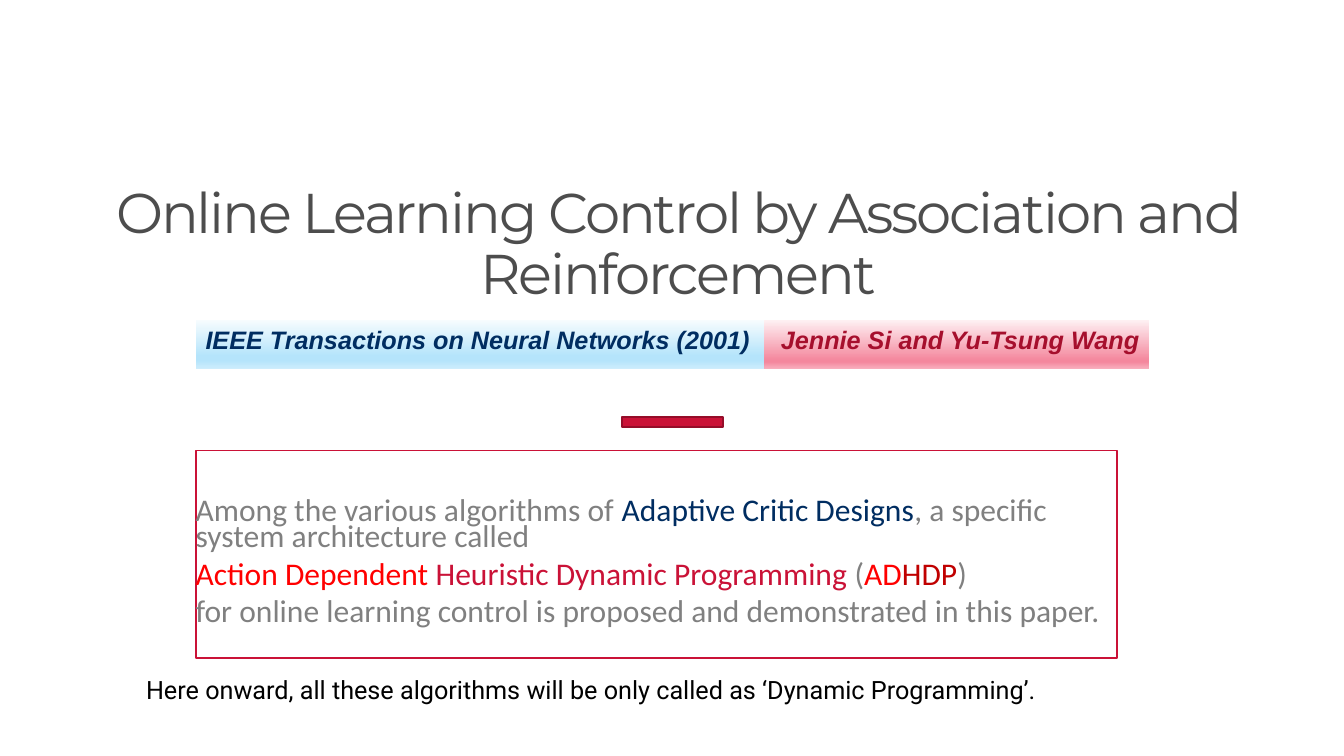
from lxml import etree
from pptx import Presentation
from pptx.dml.color import RGBColor
from pptx.enum.shapes import MSO_SHAPE
from pptx.enum.text import MSO_ANCHOR, MSO_AUTO_SIZE, PP_ALIGN
from pptx.oxml.ns import qn
from pptx.util import Inches, Pt

RECT = MSO_SHAPE.RECTANGLE
TOP, BOTTOM = MSO_ANCHOR.TOP, MSO_ANCHOR.BOTTOM
LEFT, CENTER, RIGHT = PP_ALIGN.LEFT, PP_ALIGN.CENTER, PP_ALIGN.RIGHT
NO_FIT = MSO_AUTO_SIZE.NONE

WHITE = RGBColor(0xFF, 0xFF, 0xFF)
BLACK = RGBColor(0x00, 0x00, 0x00)
DARK = RGBColor(0x4D, 0x4D, 0x4D)
GRAY = RGBColor(0x80, 0x80, 0x80)
NAVY = RGBColor(0x00, 0x2D, 0x61)
CRIMSON = RGBColor(0xCA, 0x12, 0x37)
MAROON = RGBColor(0x95, 0x0D, 0x29)
WINE = RGBColor(0xA6, 0x0F, 0x2D)
RED = RGBColor(0xFF, 0x00, 0x00)
BRICK = RGBColor(0xC0, 0x00, 0x00)

# Gradient stops: percent and colour, top to bottom
PINKS = [(0, RGBColor(0xFE, 0xF2, 0xF4)), (83, RGBColor(0xF4, 0x87, 0x9D)),
         (86, RGBColor(0xF4, 0x87, 0x9D)), (100, RGBColor(0xF8, 0xAF, 0xBE))]
BLUES = [(0, RGBColor(0xF7, 0xFC, 0xFE)), (74, RGBColor(0xB5, 0xE4, 0xFB)),
         (83, RGBColor(0xB5, 0xE4, 0xFB)), (100, RGBColor(0xCE, 0xED, 0xFC))]

# Summary paragraphs as coloured pieces
SUMMARY = [
    [("Among the various algorithms of ", GRAY),
     ("Adaptive Critic Designs", NAVY),
     (", a specific system architecture called", GRAY)],
    [("Action Dependent ", RED), ("Heuristic Dynamic Programming ", CRIMSON),
     ("(", GRAY), ("AD", RED), ("HDP", BRICK), (")", GRAY)],
    [("for online learning control is proposed and demonstrated "
      "in this paper.", GRAY)],
]


def style(run, face, size, color):
    font = run.font
    font.name, font.size, font.color.rgb = face, Pt(size), color


def clear_insets(frame):
    frame.margin_left = frame.margin_right = 0
    frame.margin_top = frame.margin_bottom = 0


def add_rect(slide, left, top, width, height, fill=None, line=None):
    shape = slide.shapes.add_shape(RECT, Inches(left), Inches(top),
                                   Inches(width), Inches(height))
    shape.shadow.inherit = False
    if fill is not None:
        shape.fill.solid()
        shape.fill.fore_color.rgb = fill
    if line is None:
        shape.line.fill.background()
    else:
        shape.line.color.rgb = line
        shape.line.width = Pt(1.35)
    return shape


def shade(shape, stops):
    shape.fill.gradient()
    shape.fill.gradient_angle = 270
    ramp = shape._element.spPr.find(".//" + qn("a:gsLst"))
    for old in list(ramp):
        ramp.remove(old)
    for percent, color in stops:
        stop = etree.SubElement(ramp, qn("a:gs"), pos=str(percent * 1000))
        etree.SubElement(stop, qn("a:srgbClr"), val=str(color))


def add_label(slide, left, width, text, color, stops, align):
    label = add_rect(slide, left, 3.17, width, 0.49)
    shade(label, stops)
    frame = label.text_frame
    frame.word_wrap = True
    frame.vertical_anchor = TOP
    frame.text = text
    para = frame.paragraphs[0]
    para.alignment = align
    run = para.runs[0]
    style(run, "Arial", 18, color)
    run.font.bold = run.font.italic = True


def set_title(slide):
    title = slide.shapes.title
    title.left, title.top = Inches(0.65), Inches(1.8)
    title.width, title.height = Inches(12.15), Inches(1.24)
    frame = title.text_frame
    frame.text = "Online Learning Control by Association and Reinforcement"
    frame.word_wrap = True
    frame.auto_size = NO_FIT
    frame.vertical_anchor = BOTTOM
    clear_insets(frame)
    para = frame.paragraphs[0]
    para.alignment = CENTER
    para.line_spacing = 0.9
    run = para.runs[0]
    style(run, "Montserrat", 40, DARK)
    run.font._element.set("spc", "-150")


def add_summary(slide):
    box = add_rect(slide, 1.94, 4.47, 9.14, 2.06, WHITE, CRIMSON)
    frame = box.text_frame
    frame.word_wrap = True
    frame.vertical_anchor = TOP
    clear_insets(frame)
    frame.margin_top = Inches(0.49)
    for index, pieces in enumerate(SUMMARY):
        para = frame.add_paragraph() if index else frame.paragraphs[0]
        para.alignment = LEFT
        para.line_spacing = 0.7
        para.space_before = Pt(8 if index else 0)
        for text, color in pieces:
            run = para.add_run()
            run.text = text
            style(run, "Calibri", 22.5, color)


def add_note(slide):
    box = slide.shapes.add_textbox(Inches(1.35), Inches(6.64),
                                   Inches(10.75), Inches(0.4))
    frame = box.text_frame
    frame.word_wrap = True
    frame.text = ("Here onward, all these algorithms will be only called as "
                  "‘Dynamic Programming’.")
    style(frame.paragraphs[0].runs[0], "Roboto", 18, BLACK)


def main():
    deck = Presentation()
    deck.slide_width, deck.slide_height = Inches(13.33), Inches(7.5)
    slide = deck.slides.add_slide(deck.slide_layouts[5])

    # Title and accent bar
    set_title(slide)
    add_rect(slide, 6.17, 4.14, 1, 0.1, CRIMSON, MAROON)

    # Journal and authors
    add_label(slide, 7.58, 3.82, "Jennie Si and Yu-Tsung Wang",
              WINE, PINKS, RIGHT)
    add_label(slide, 1.94, 5.64, "IEEE Transactions on Neural Networks (2001)",
              NAVY, BLUES, LEFT)

    # Summary and closing note
    add_summary(slide)
    add_note(slide)
    deck.save("out.pptx")


if __name__ == "__main__":
    main()
